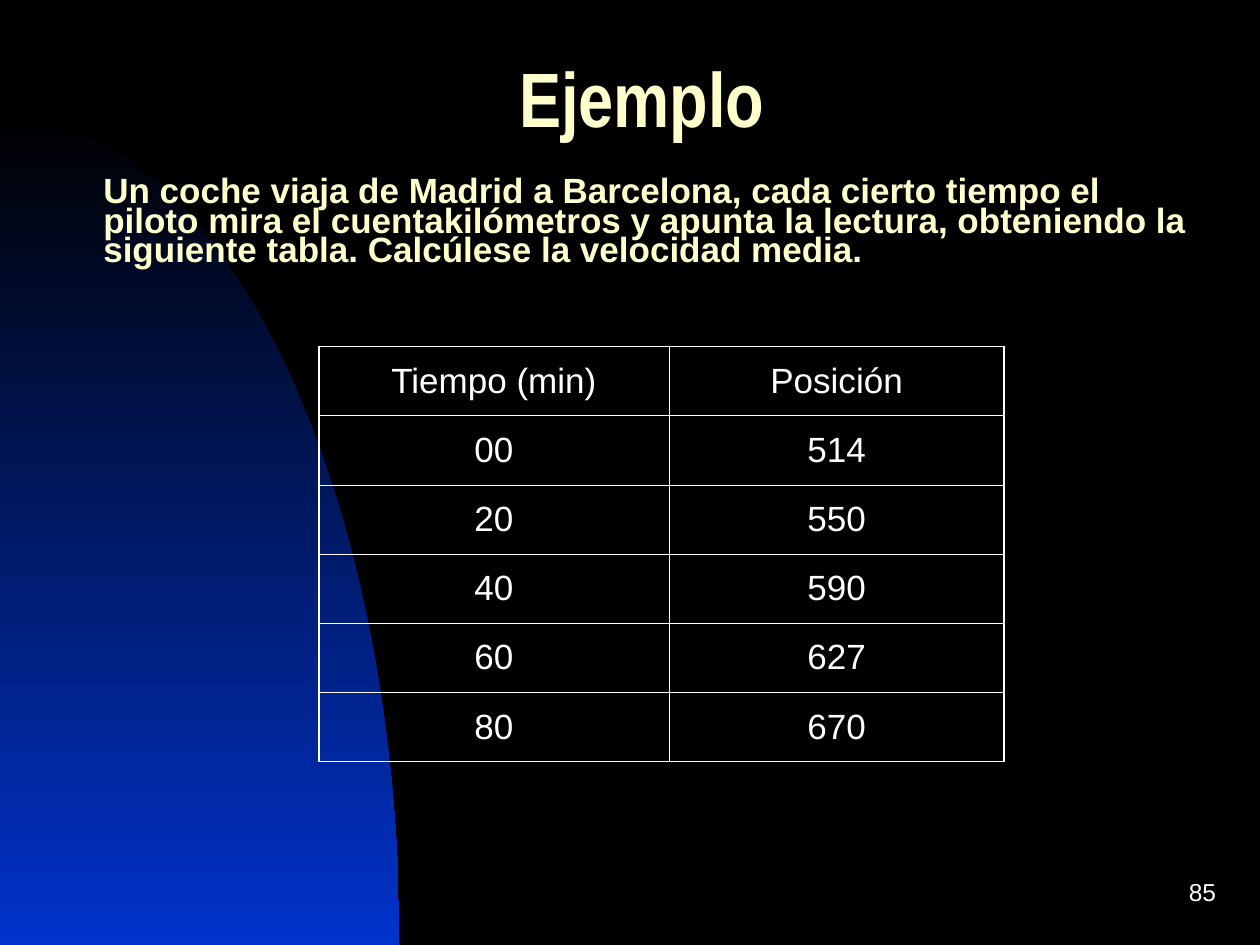
from dataclasses import dataclass
from math import cos, pi, sin

from lxml import etree
from pptx import Presentation
from pptx.dml.color import RGBColor
from pptx.enum.text import MSO_ANCHOR, MSO_AUTO_SIZE, PP_ALIGN
from pptx.oxml.ns import qn
from pptx.util import Inches, Length, Pt

BLACK = RGBColor(0x00, 0x00, 0x00)
WHITE = RGBColor(0xFF, 0xFF, 0xFF)
CREAM = RGBColor(0xFF, 0xFF, 0xCC)
BLUE = RGBColor(0x00, 0x33, 0xCC)

LEFT, CENTER, RIGHT = PP_ALIGN.LEFT, PP_ALIGN.CENTER, PP_ALIGN.RIGHT
TOP, MIDDLE = MSO_ANCHOR.TOP, MSO_ANCHOR.MIDDLE
NO_AUTOFIT = MSO_AUTO_SIZE.NONE

SLIDE_W, SLIDE_H = Inches(10), Inches(7.5)
INNER_LINE, OUTER_LINE = Pt(0.45), Pt(1.08)
ARC_STEPS = 90

READINGS = [
    ("Tiempo (min)", "Posición"),
    ("00", "514"),
    ("20", "550"),
    ("40", "590"),
    ("60", "627"),
    ("80", "670"),
]
COLUMN_SHARES = (27.8, 26.6)
ROW_SHARE = 7.32


@dataclass(frozen=True)
class Area:
    """Percentages of the slide's width and height."""
    left: float
    top: float
    width: float
    height: float

    def lengths(self) -> tuple[Length, Length, Length, Length]:
        return (across(self.left), down(self.top),
                across(self.width), down(self.height))


@dataclass(frozen=True)
class Style:
    size: float
    color: RGBColor
    align: PP_ALIGN
    font: str = "Arial"
    bold: bool = False
    line_spacing: float = 1.0


TITLE_STYLE = Style(44, CREAM, CENTER, "Arial Narrow", True, 0.7)
PROBLEM_STYLE = Style(20, CREAM, LEFT, bold=True, line_spacing=0.7)
CELL_STYLE = Style(20, WHITE, CENTER)
NUMBER_STYLE = Style(14, WHITE, RIGHT)


def across(percent: float) -> Length:
    return Length(round(SLIDE_W * percent / 100))


def down(percent: float) -> Length:
    return Length(round(SLIDE_H * percent / 100))


def write(frame, text: str, style: Style) -> None:
    frame.text = text
    paragraph = frame.paragraphs[0]
    paragraph.alignment = style.align
    paragraph.line_spacing = style.line_spacing
    paragraph.font.name = style.font
    paragraph.font.size = Pt(style.size)
    paragraph.font.bold = style.bold
    paragraph.font.color.rgb = style.color


def add_text(slide, area: Area, text: str, style: Style, anchor: MSO_ANCHOR,
             wrap: bool, margins: tuple[float, float]) -> None:
    frame = slide.shapes.add_textbox(*area.lengths()).text_frame
    frame.word_wrap = wrap
    frame.vertical_anchor = anchor
    frame.margin_left = frame.margin_right = Inches(margins[0])
    frame.margin_top = frame.margin_bottom = Inches(margins[1])
    write(frame, text, style)


def add_blue_curve(slide, area: Area) -> None:
    left, top, width, height = area.lengths()
    bottom = top + height
    angles = [pi / 2 * step / ARC_STEPS for step in range(ARC_STEPS + 1)]
    arc = [(round(left + width * sin(a)), round(bottom - height * cos(a)))
           for a in angles]
    builder = slide.shapes.build_freeform(*arc[0])
    builder.add_line_segments(arc[1:] + [(left, bottom)], close=True)
    curve = builder.convert_to_shape()
    curve.shadow.inherit = False
    curve.line.fill.background()
    curve.fill.gradient()
    curve.fill.gradient_angle = 270
    for stop, color in zip(curve.fill.gradient_stops, (BLACK, BLUE)):
        stop.color.rgb = color


def draw_borders(cell, row: int, column: int, rows: int, columns: int) -> None:
    properties = cell._tc.get_or_add_tcPr()
    on_edge = {
        "a:lnL": column == 0,
        "a:lnR": column == columns - 1,
        "a:lnT": row == 0,
        "a:lnB": row == rows - 1,
    }
    for side, outer in on_edge.items():
        line = etree.SubElement(properties, qn(side),
                                w=str(OUTER_LINE if outer else INNER_LINE))
        fill = etree.SubElement(line, qn("a:solidFill"))
        etree.SubElement(fill, qn("a:srgbClr"), val=str(WHITE))


def add_readings_table(slide, left: float, top: float) -> None:
    rows, columns = len(READINGS), len(COLUMN_SHARES)
    area = Area(left, top, sum(COLUMN_SHARES), ROW_SHARE * rows)
    table = slide.shapes.add_table(rows, columns, *area.lengths()).table
    table.first_row = False
    table.horz_banding = False
    for column, share in zip(table.columns, COLUMN_SHARES):
        column.width = across(share)
    for r, reading in enumerate(READINGS):
        table.rows[r].height = down(ROW_SHARE)
        for c, text in enumerate(reading):
            cell = table.cell(r, c)
            draw_borders(cell, r, c, rows, columns)
            cell.fill.background()
            cell.vertical_anchor = MIDDLE
            write(cell.text_frame, text, CELL_STYLE)


def place_title(slide, area: Area, text: str) -> None:
    title = slide.shapes.title
    title.left, title.top, title.width, title.height = area.lengths()
    title.text_frame.auto_size = NO_AUTOFIT
    title.text_frame.vertical_anchor = MIDDLE
    write(title.text_frame, text, TITLE_STYLE)


def main() -> None:
    deck = Presentation()
    deck.slide_width, deck.slide_height = SLIDE_W, SLIDE_H
    slide = deck.slides.add_slide(deck.slide_layouts[5])
    slide.background.fill.solid()
    slide.background.fill.fore_color.rgb = BLACK

    add_blue_curve(slide, Area(0, 12.27, 31.7, 87.73))
    add_text(slide, Area(76.7, 91.07, 20.8, 6.67), "85", NUMBER_STYLE,
             MIDDLE, False, (0.1, 0.05))
    place_title(slide, Area(4.7, 3.07, 92.5, 16.67), "Ejemplo")
    add_text(slide, Area(8.2, 19.07, 87, 14.8),
             "Un coche viaja de Madrid a Barcelona, cada cierto tiempo el "
             "piloto mira el cuentakilómetros y apunta la lectura, obteniendo "
             "la siguiente tabla. Calcúlese la velocidad media.",
             PROBLEM_STYLE, TOP, True, (0, 0))
    add_readings_table(slide, 25.3, 36.67)
    deck.save("out.pptx")


if __name__ == "__main__":
    main()
